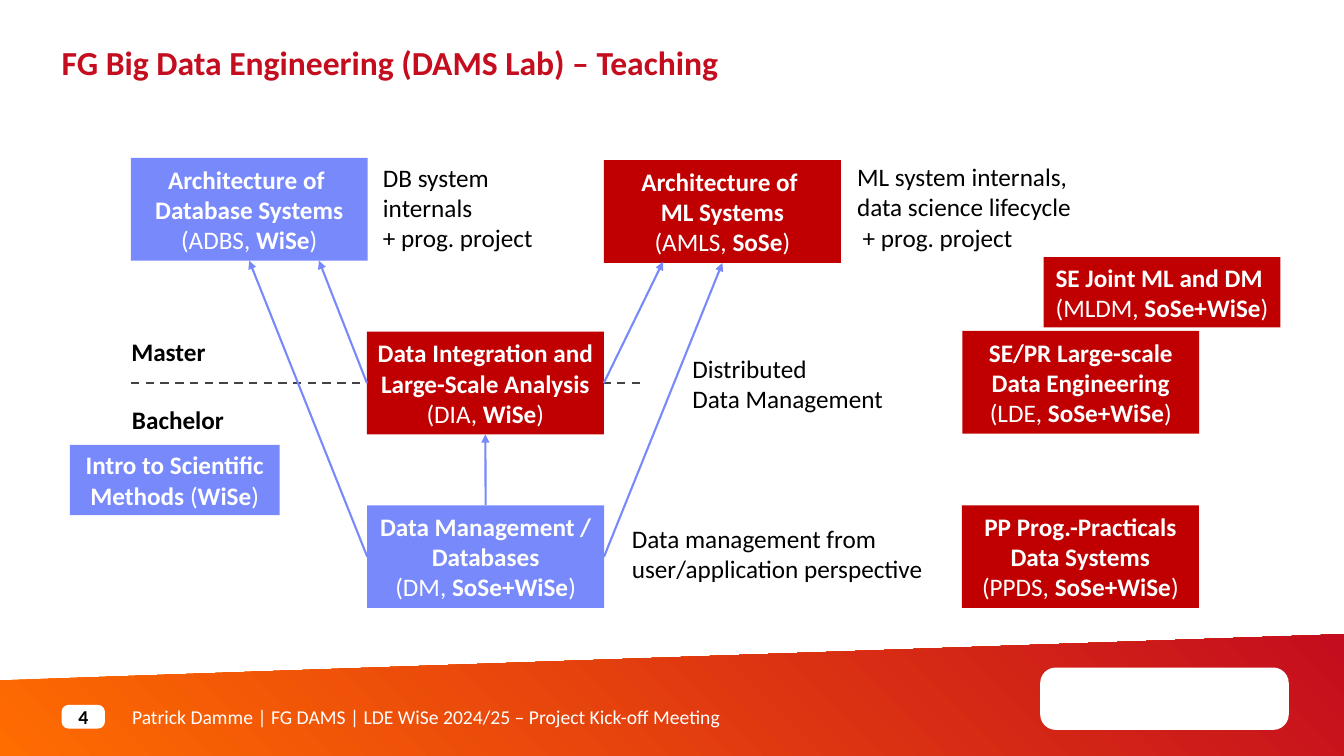
from lxml import etree
from pptx import Presentation
from pptx import util as u
from pptx.dml.color import RGBColor
from pptx.enum import dml, shapes, text
from pptx.oxml.ns import qn

FONT = "Calibri"
WHITE, BLACK, GREY = "FFFFFF", "000000", "434343"
RED, BLUE, TITLE_RED, ORANGE = "C00000", "7889FB", "C40D1E", "FF6C00"
SLIDE_WIDTH, SLIDE_HEIGHT = 960, 540
BOX_WIDTH = 169.2
TOP, BOTTOM, LEFT, RIGHT = 0, 2, 1, 3  # connection sites of a rectangle

TITLE = "FG Big Data Engineering (DAMS Lab) – Teaching"
FOOTER = "Patrick Damme |\u00a0FG DAMS | LDE WiSe 2024/25 – Project Kick-off Meeting"
PAGE_NUMBER = "4"

# key: (left, top, width, lines of text, colour, name, code, term)
COURSES = {
    "DM": (262.3, 360.9, BOX_WIDTH, 3, BLUE, "Data Management / Databases\n", "DM, ", "SoSe+WiSe"),
    "ADBS": (93.4, 112.8, BOX_WIDTH, 3, BLUE, "Architecture of \nDatabase Systems\n", "ADBS, ", "WiSe"),
    "ISM": (49.9, 317.7, 149.8, 2, BLUE, "Intro to Scientific Methods ", "", "WiSe"),
    "LDE": (687.4, 236.4, BOX_WIDTH, 3, RED, "SE/PR Large-scale Data Engineering\n", "LDE, ", "SoSe+WiSe"),
    "AMLS": (431.4, 114.4, BOX_WIDTH, 3, RED, "Architecture of \nML Systems\n", "AMLS, ", "SoSe"),
    "DIA": (262.1, 236.9, BOX_WIDTH, 3, RED, "Data Integration and Large-Scale Analysis\n", "DIA, ", "WiSe"),
    "PPDS": (687.1, 360.9, BOX_WIDTH, 3, RED, "PP Prog.-Practicals Data Systems\n", "PPDS, ", "SoSe+WiSe"),
    "MLDM": (745.4, 183.6, BOX_WIDTH, 2, RED, "SE Joint ML and DM \n", "MLDM, ", "SoSe+WiSe"),
}
BOX_HEIGHTS = {2: 50.2, 3: 73.4}

# (left, top, width, height, text, bold)
LABELS = [
    (93.8, 237, 69, 29, "Master", True),
    (94.3, 285.4, 69, 29, "Bachelor", True),
    (451.4, 370.3, 222, 51, "Data management from user/application perspective", False),
    (494.6, 248.7, 171, 51, "Distributed \nData Management", False),
    (612.2, 111.8, 171, 73, "ML system internals,\ndata science lifecycle\n + prog. project", False),
    (273.6, 112.3, 117.4, 73, "DB system internals \n+ prog. project", False),
]

# (from course, side, to course, side) or a free end point in place of the last two
PREREQUISITES = [
    ("DM", TOP, "DIA", BOTTOM),
    ("DM", RIGHT, "AMLS", BOTTOM),
    ("DM", LEFT, "ADBS", BOTTOM),
    ("DIA", LEFT, 227.8, 186.2),
    ("DIA", RIGHT, 473.6, 187),
]


def rgb(value):
    return RGBColor.from_string(value)


def points(*values):
    return [u.Pt(value) for value in values]


def add_text(paragraph, content, size, color, bold=False):
    """Add runs to the paragraph, with a line break for each newline."""
    for index, line in enumerate(content.split("\n")):
        if index:
            paragraph.add_line_break()
        if line:
            run = paragraph.add_run()
            run.text = line
            run.font.name, run.font.size = FONT, u.Pt(size)
            run.font.bold, run.font.color.rgb = bold, rgb(color)


def set_frame(frame, horizontal, vertical, anchor):
    frame.word_wrap = True
    frame.margin_left = frame.margin_right = u.Pt(horizontal)
    frame.margin_top = frame.margin_bottom = u.Pt(vertical)
    frame.vertical_anchor = anchor
    return frame.paragraphs[0]


def add_panel(slide, kind, place, color):
    shape = slide.shapes.add_shape(kind, *points(*place))
    shape.shadow.inherit = False
    shape.fill.solid()
    shape.fill.fore_color.rgb = rgb(color)
    shape.line.fill.background()
    return shape


def add_line(slide, start, end, color):
    line = slide.shapes.add_connector(shapes.MSO_CONNECTOR.STRAIGHT, *points(*start, *end))
    line.line.color.rgb, line.line.width = rgb(color), u.Pt(1.5)
    etree.SubElement(line._element.spPr, qn("a:effectLst"))
    return line


def add_label(slide, place, content, size, color, bold=False, vertical=3.6,
              anchor=text.MSO_ANCHOR.TOP):
    box = slide.shapes.add_textbox(*points(*place))
    add_text(set_frame(box.text_frame, 0, vertical, anchor), content, size, color, bold)


def add_footer(slide):
    builder = slide.shapes.build_freeform(0, 486, scale=u.Pt(1))
    builder.add_line_segments([(SLIDE_WIDTH, 453), (SLIDE_WIDTH, SLIDE_HEIGHT), (0, SLIDE_HEIGHT)])
    band = builder.convert_to_shape()
    band.shadow.inherit = False
    band.line.fill.background()
    band.fill.gradient()
    band.fill.gradient_angle = 45
    for stop, color, position in zip(band.fill.gradient_stops, (ORANGE, TITLE_RED), (0, 1)):
        stop.color.rgb, stop.position = rgb(color), position

    add_label(slide, (94.3, 503.5, 600, 17), FOOTER, 14, WHITE, vertical=0,
              anchor=text.MSO_ANCHOR.MIDDLE)
    rounded = shapes.MSO_SHAPE.ROUNDED_RECTANGLE
    add_panel(slide, rounded, (743, 476.8, 177.6, 44.6), WHITE).adjustments[0] = 0.25
    badge = add_panel(slide, rounded, (44, 503.5, 31, 17), WHITE)
    badge.adjustments[0] = 0.3
    paragraph = set_frame(badge.text_frame, 0, 0, text.MSO_ANCHOR.MIDDLE)
    paragraph.alignment = text.PP_ALIGN.CENTER
    add_text(paragraph, PAGE_NUMBER, 14, BLACK, True)


def add_title(slide):
    title = slide.shapes.title
    title.left, title.top, title.width, title.height = points(44, 31, 654.5, 56)
    paragraph = set_frame(title.text_frame, 0, 0, text.MSO_ANCHOR.TOP)
    paragraph.alignment = text.PP_ALIGN.LEFT
    paragraph.line_spacing = u.Pt(28)
    add_text(paragraph, TITLE, 24, TITLE_RED, True)


def add_course(slide, left, top, width, lines, color, name, code, term):
    place = (left, top, width, BOX_HEIGHTS[lines])
    box = add_panel(slide, shapes.MSO_SHAPE.RECTANGLE, place, color)
    paragraph = set_frame(box.text_frame, 7.2, 3.6, text.MSO_ANCHOR.MIDDLE)
    paragraph.alignment = text.PP_ALIGN.CENTER
    for content, bold in ((name, True), ("(" + code, False), (term, True), (")", False)):
        add_text(paragraph, content, 18, WHITE, bold)
    return box


def add_arrow(slide, boxes, source, side, *target):
    joined = target[0] in boxes
    arrow = add_line(slide, (0, 0), (0, 0) if joined else target, BLUE)
    arrow.begin_connect(boxes[source], side)
    if joined:
        arrow.end_connect(boxes[target[0]], target[1])
    etree.SubElement(arrow.line._get_or_add_ln(), qn("a:tailEnd"), type="triangle")


def main():
    presentation = Presentation()
    presentation.slide_width, presentation.slide_height = points(SLIDE_WIDTH, SLIDE_HEIGHT)
    slide = presentation.slides.add_slide(presentation.slide_layouts[5])
    add_footer(slide)
    add_title(slide)
    divider = add_line(slide, (93.6, 273.6), (458.6, 273.6), GREY)
    divider.line.dash_style = dml.MSO_LINE.DASH
    for *place, content, bold in LABELS:
        add_label(slide, place, content, 18, BLACK, bold)
    boxes = {key: add_course(slide, *course) for key, course in COURSES.items()}
    for prerequisite in PREREQUISITES:
        add_arrow(slide, boxes, *prerequisite)
    presentation.save("out.pptx")


if __name__ == "__main__":
    main()
